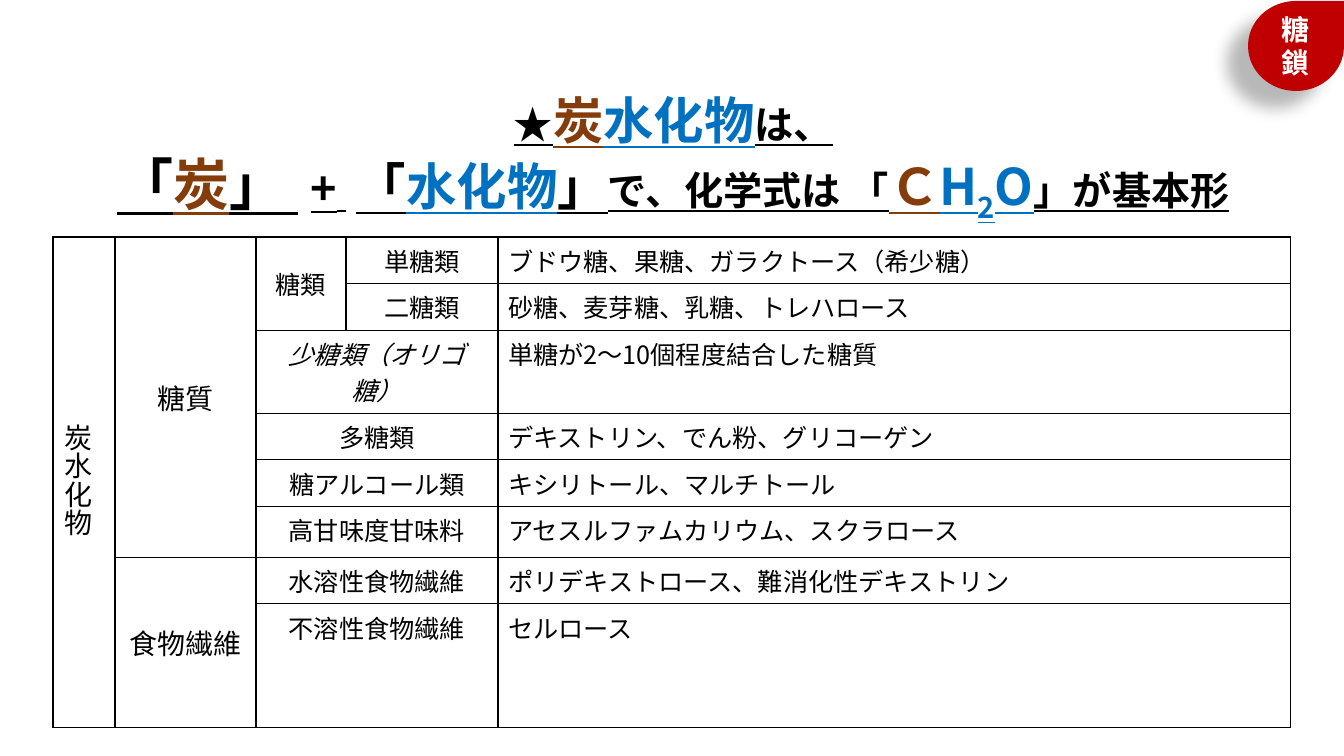
from lxml.etree import SubElement
from pptx import Presentation
from pptx.dml.color import RGBColor
from pptx.enum.shapes import MSO_SHAPE
from pptx.enum.text import MSO_ANCHOR, PP_ALIGN
from pptx.oxml import parse_xml
from pptx.oxml.ns import nsdecls, qn
from pptx.util import Emu, Pt

PX = 12192000 / 1344
FONT = "Noto Sans CJK JP"
BLACK, WHITE, RED = "000000", "FFFFFF", "C00000"
BROWN, BLUE = "843C0B", "0070C0"


def px(length):
    return Emu(round(length * PX))


def color(hex_text):
    return RGBColor.from_string(hex_text)


class SlideBuilder:
    def __init__(self, slide):
        self.slide = slide

    def run(self, paragraph, text, size, hex_color=BLACK, extra=None, **style):
        """Add a run; extra holds raw run attributes such as baseline or spacing."""
        run = paragraph.add_run()
        run.text = text
        values = {"name": FONT, "size": Pt(size), **style}
        for name, value in values.items():
            setattr(run.font, name, value)
        run.font.color.rgb = color(hex_color)
        properties = run._r.get_or_add_rPr()
        SubElement(properties, qn("a:ea")).set("typeface", FONT)
        for name, value in (extra or {}).items():
            properties.set(name, value)

    def badge(self, box, text):
        shape = self.slide.shapes.add_shape(MSO_SHAPE.TEAR, *map(px, box))
        shape.fill.solid()
        shape.fill.fore_color.rgb = color(RED)
        shape.line.fill.background()
        shape._element.spPr.append(parse_xml(
            f'<a:effectLst {nsdecls("a")}><a:outerShdw blurRad="149860" dist="250190" '
            f'dir="8460000" algn="ctr" rotWithShape="0"><a:srgbClr val="{BLACK}">'
            '<a:alpha val="28000"/></a:srgbClr></a:outerShdw></a:effectLst>'))
        frame = shape.text_frame
        frame.word_wrap = True
        frame.vertical_anchor = MSO_ANCHOR.MIDDLE
        frame.paragraphs[0].alignment = PP_ALIGN.CENTER
        self.run(frame.paragraphs[0], text, 20, WHITE, bold=True)

    def headline(self, box, lines):
        frame = self.slide.shapes.add_textbox(*map(px, box)).text_frame
        frame.word_wrap = True
        for index, line in enumerate(lines):
            paragraph = frame.add_paragraph() if index else frame.paragraphs[0]
            paragraph.alignment = PP_ALIGN.CENTER
            for part in line:
                self.run(paragraph, *part, bold=True, underline=True)

    def table(self, left, top, columns, row_height, row_count):
        frame = self.slide.shapes.add_table(
            row_count, len(columns), px(left), px(top),
            px(sum(columns)), px(row_height * row_count))
        table = frame.table
        table.first_row = table.horz_banding = False
        for column, width in zip(table.columns, columns):
            column.width = px(width)
        for row in table.rows:
            row.height = px(row_height)
            for cell in row.cells:
                cell.fill.background()
                self.border(cell)
        return table

    def border(self, cell):
        properties = cell._tc.get_or_add_tcPr()
        for index, side in enumerate(("lnL", "lnR", "lnT", "lnB")):
            properties.insert(index, parse_xml(
                f'<a:{side} {nsdecls("a")} w="12700"><a:solidFill>'
                f'<a:srgbClr val="{BLACK}"/></a:solidFill></a:{side}>'))

    def cell(self, table, row, column, text, size=18, rows=1, columns=1,
             align=PP_ALIGN.CENTER, vertical=False, **style):
        cell = table.cell(row, column)
        if rows > 1 or columns > 1:
            cell.merge(table.cell(row + rows - 1, column + columns - 1))
        if rows > 1:
            cell.vertical_anchor = MSO_ANCHOR.MIDDLE
        paragraph = cell.text_frame.paragraphs[0]
        paragraph.alignment = align
        if vertical:
            cell._tc.get_or_add_tcPr().set("vert", "eaVert")
            cell.margin_right = px(21)
            paragraph.line_spacing = 0.7
        self.run(paragraph, text, size, **style)


HEADLINE = [
    [("★", 28), ("炭", 36, BROWN), ("水化物", 36, BLUE), ("は、", 28)],
    [("「", 40), ("炭", 40, BROWN), ("」", 40), (" ", 40, BLACK, {"spc": "900"}),
     ("+", 32), (" ", 28, BLACK, {"spc": "700"}),
     ("「", 36), ("水化物", 36, BLUE), ("」", 36), ("で、化学式は 「", 28),
     ("Ｃ", 36, BROWN), ("H", 36, BLUE), ("2", 36, BLUE, {"baseline": "-25000"}),
     ("O", 36, BLUE), ("」が基本形", 28)],
]
GROUPS = [
    (0, 0, "炭水化物", {"size": 20, "rows": 8, "vertical": True}),
    (0, 1, "糖質", {"size": 20, "rows": 6}),
    (0, 2, "糖類", {"rows": 2}),
    (6, 1, "食物繊維", {"size": 20, "rows": 2}),
]
KINDS = [
    ("単糖類", "ブドウ糖、果糖、ガラクトース（希少糖）"),
    ("二糖類", "砂糖、麦芽糖、乳糖、トレハロース"),
    ("少糖類（オリゴ糖）", "単糖が2～10個程度結合した糖質"),
    ("多糖類", "デキストリン、でん粉、グリコーゲン"),
    ("糖アルコール類", "キシリトール、マルチトール"),
    ("高甘味度甘味料", "アセスルファムカリウム、スクラロース"),
    ("水溶性食物繊維", "ポリデキストロース、難消化性デキストリン"),
    ("不溶性食物繊維", "セルロース"),
]
SUGAR_ROWS = 2
OLIGO_ROW = 2


def main():
    presentation = Presentation()
    presentation.slide_width, presentation.slide_height = px(1344), px(756)
    builder = SlideBuilder(presentation.slides.add_slide(presentation.slide_layouts[6]))

    builder.badge((1248, 1, 96, 90), "糖鎖")
    table = builder.table(53, 237, (62, 141, 90, 152, 793), 41, len(KINDS))
    for row, column, text, options in GROUPS:
        builder.cell(table, row, column, text, **options)
    for row, (kind, examples) in enumerate(KINDS):
        column, span = (3, 1) if row < SUGAR_ROWS else (2, 2)
        builder.cell(table, row, column, kind, columns=span, italic=row == OLIGO_ROW)
        builder.cell(table, row, 4, examples, align=PP_ALIGN.LEFT)
    builder.headline((81, 84, 1185, 139), HEADLINE)

    presentation.save("out.pptx")


if __name__ == "__main__":
    main()
